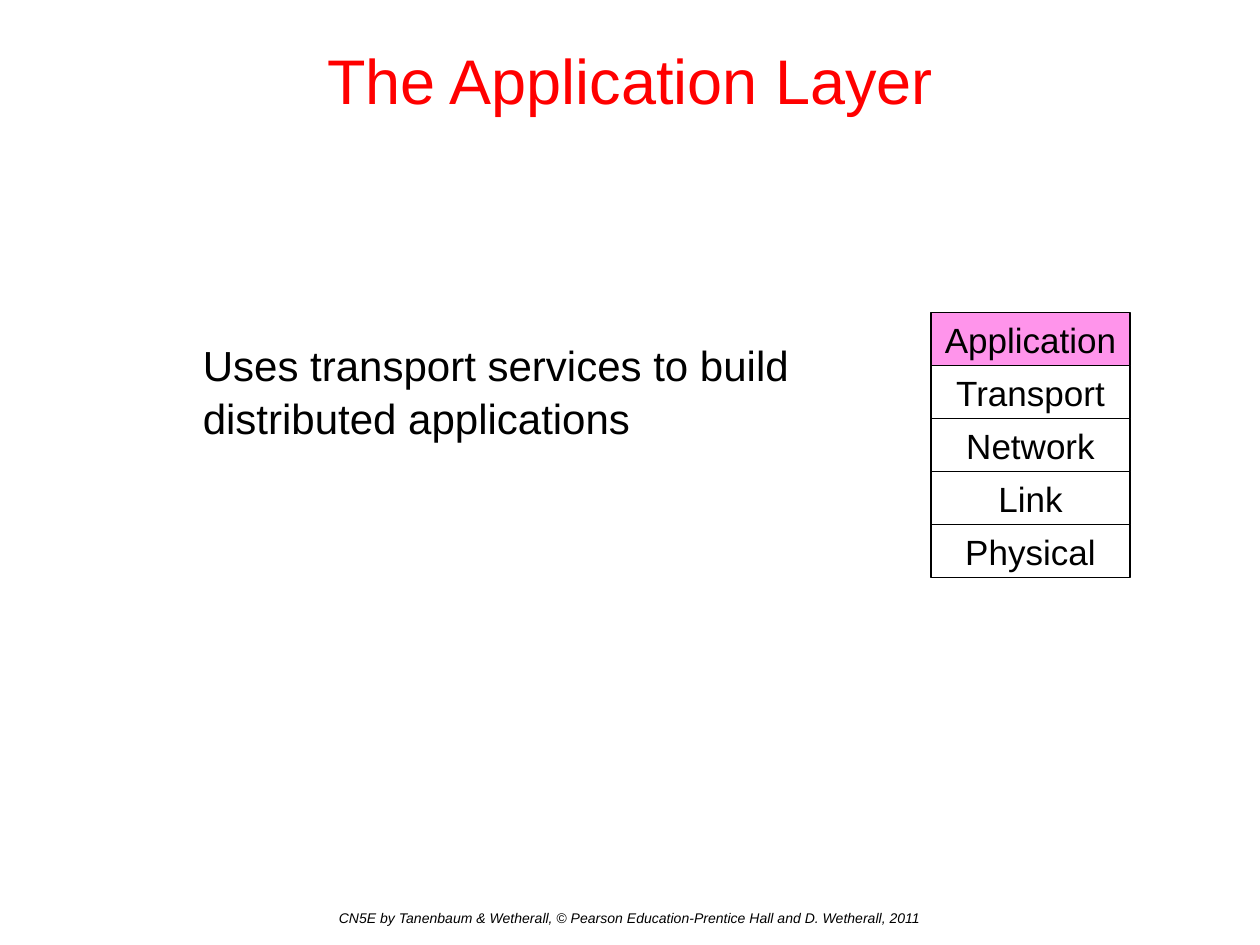
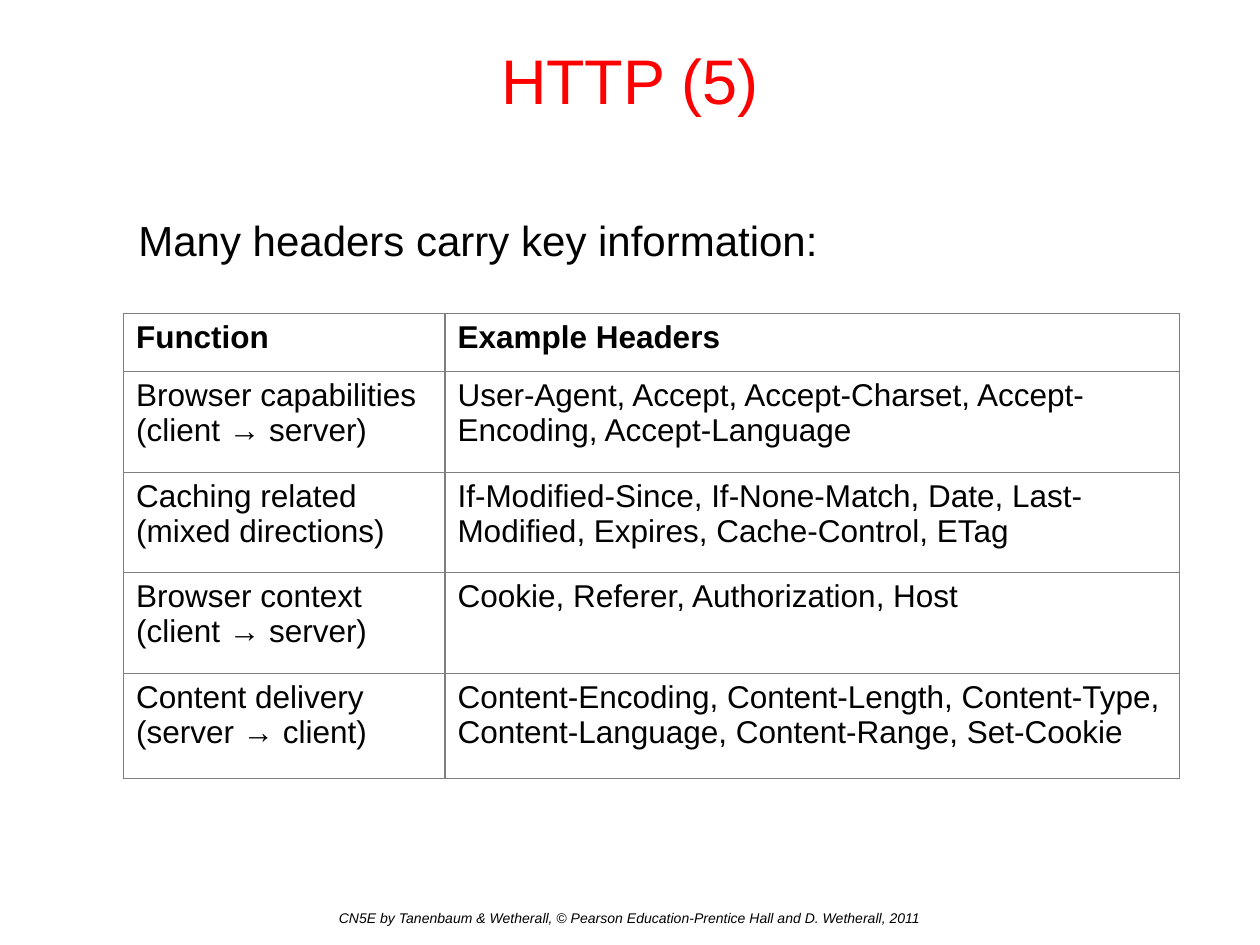
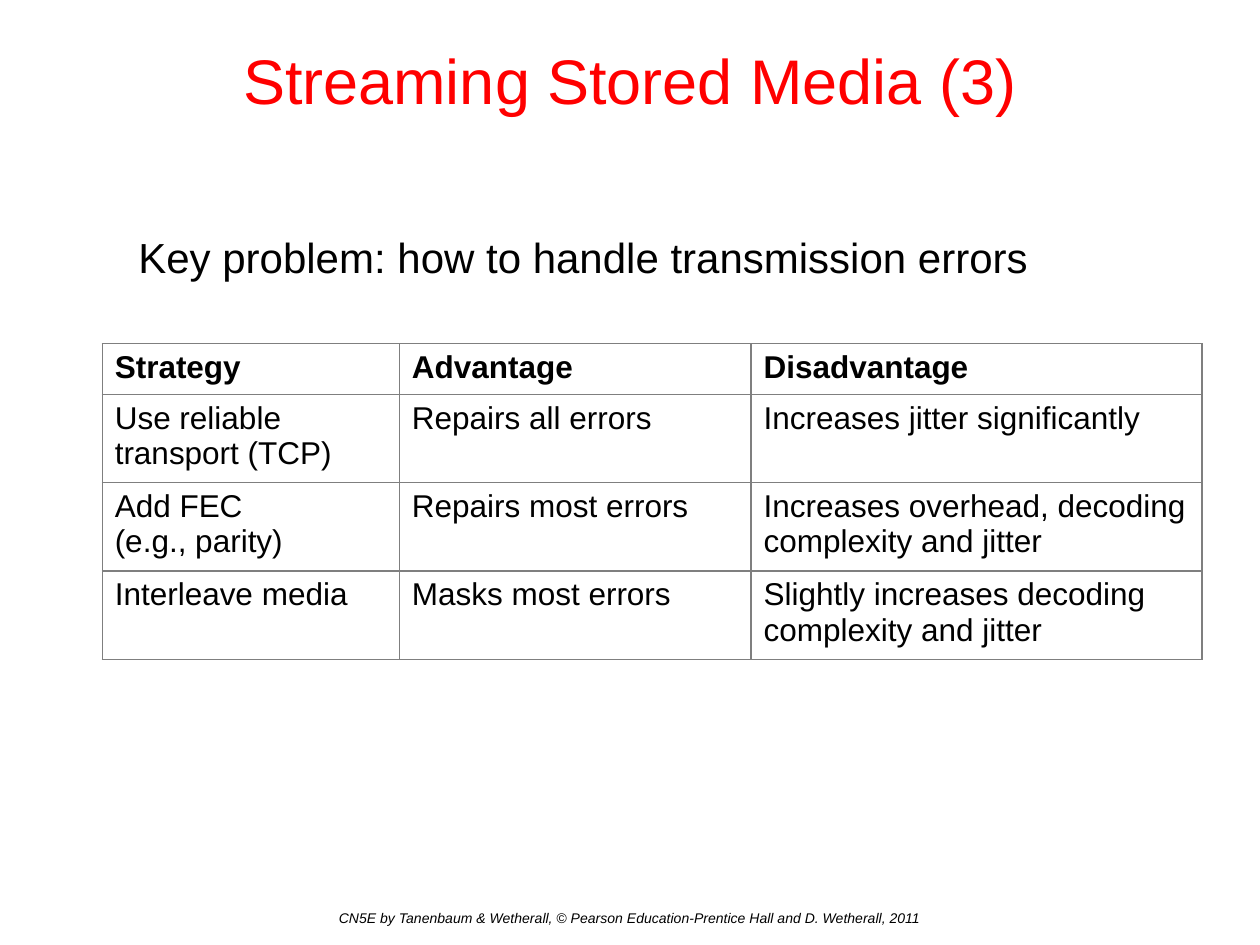
from lxml.etree import SubElement
from pptx import Presentation
from pptx.dml.color import RGBColor
from pptx.enum.shapes import MSO_SHAPE
from pptx.enum.text import MSO_ANCHOR, PP_ALIGN
from pptx.oxml.ns import qn
from pptx.util import Cm, Pt

FONT = "Arial"
BLACK, WHITE, RED, PINK, GREY = "000000", "FFFFFF", "FF0000", "FF2BD8", "7F7F7F"
FOOTER = ("CN5E by Tanenbaum & Wetherall, © Pearson Education-Prentice Hall "
          "and D. Wetherall, 2011")
WIDTH, HEIGHT = 25.4, 19.05


def rgb(code):
    return RGBColor.from_string(code)


def write(frame, text, size=18, color=BLACK, bold=False, italic=False,
          align=PP_ALIGN.LEFT, anchor=MSO_ANCHOR.TOP, wrap=True, space=None):
    """Fill a text frame; a line feed starts a paragraph, \\v breaks a line."""
    frame.text = text
    frame.word_wrap = wrap
    frame.vertical_anchor = anchor
    for para in frame.paragraphs:
        para.alignment = align
        para.line_spacing = space
        for run in para.runs:
            font = run.font
            font.name, font.size = FONT, Pt(size)
            font.bold, font.italic = bold, italic
            font.color.rgb = rgb(color)


def border(cell):
    props = cell._tc.get_or_add_tcPr()
    for side in ("lnL", "lnR", "lnT", "lnB"):
        line = SubElement(props, qn(f"a:{side}"), w=str(Pt(0.75)))
        fill = SubElement(line, qn("a:solidFill"))
        SubElement(fill, qn("a:srgbClr"), val=GREY)


class Deck:
    def __init__(self):
        self.prs = Presentation()
        self.prs.slide_width, self.prs.slide_height = Cm(WIDTH), Cm(HEIGHT)
        self.slide = None

    def start(self, title):
        """Add a slide with its title and footer."""
        self.slide = self.prs.slides.add_slide(self.prs.slide_layouts[5])
        head = self.slide.shapes.title
        head.left, head.top = Cm(0), Cm(0)
        head.width, head.height = Cm(WIDTH), Cm(3.18)
        write(head.text_frame, title, size=36, color=RED,
              align=PP_ALIGN.CENTER, anchor=MSO_ANCHOR.MIDDLE)
        self.text(FOOTER, 0, 18.21, WIDTH, 0.84, size=8, italic=True,
                  align=PP_ALIGN.CENTER)

    def text(self, text, left, top, width, height, **style):
        box = self.slide.shapes.add_textbox(
            Cm(left), Cm(top), Cm(width), Cm(height))
        write(box.text_frame, text, **style)

    def body(self, text, left, top, width, height):
        self.text(text, left, top, width, height, size=24, space=1.06)

    def layer(self, name, left, top, width, height, active):
        box = self.slide.shapes.add_shape(
            MSO_SHAPE.RECTANGLE, Cm(left), Cm(top), Cm(width), Cm(height))
        box.shadow.inherit = False
        box.line.color.rgb = rgb(BLACK)
        box.line.width = Pt(0.75)
        if active:
            box.fill.solid()
            box.fill.fore_color.rgb = rgb(PINK)
            tint = box._element.spPr.find(qn("a:solidFill"))[0]
            SubElement(tint, qn("a:alpha"), val="50000")
        else:
            box.fill.background()
        write(box.text_frame, name, size=20, align=PP_ALIGN.CENTER,
              anchor=MSO_ANCHOR.MIDDLE, wrap=False)

    def stack(self, names, left, top, width, height):
        """Pile up the layers, the first one highlighted."""
        for row, name in enumerate(names):
            self.layer(name, left, top + row * height, width, height, row == 0)

    def table(self, data, left, top, widths, heights):
        table = self.slide.shapes.add_table(
            len(heights), len(widths), Cm(left), Cm(top),
            Cm(sum(widths)), Cm(sum(heights))).table
        table.horz_banding = False
        for col, width in zip(table.columns, widths):
            col.width = Cm(width)
        for row, height in zip(table.rows, heights):
            row.height = Cm(height)
        for r, texts in enumerate(data):
            for c, text in enumerate(texts):
                cell = table.cell(r, c)
                border(cell)
                cell.fill.solid()
                cell.fill.fore_color.rgb = rgb(WHITE)
                write(cell.text_frame, text, bold=r == 0)


def main():
    deck = Deck()

    deck.start("The Application Layer")
    deck.body("Uses transport services to build distributed applications",
              3.84, 6.65, 14.1, 11.18)
    deck.stack(["Application", "Transport", "Network", "Link", "Physical"],
               18.77, 6.3, 4.01, 1.07)

    deck.start("HTTP (5)")
    deck.body("Many headers carry key information:", 2.54, 4.13, 21.64, 12.78)
    deck.table([
        ("Function", "Example Headers"),
        ("Browser capabilities\n(client → server)",
         "User-Agent, Accept, Accept-Charset, Accept-Encoding, "
         "Accept-Language"),
        ("Caching related\n(mixed directions)",
         "If-Modified-Since, If-None-Match, Date, Last-Modified, Expires, "
         "Cache-Control, ETag"),
        ("Browser context\n(client → server)",
         "Cookie, Referer, Authorization, Host"),
        ("Content delivery\n(server → client)",
         "Content-Encoding, Content-Length, Content-Type, Content-Language, "
         "Content-Range, Set-Cookie"),
    ], 2.49, 6.32, [6.48, 14.81], [1.17, 2.03, 2.03, 2.03, 2.11])

    deck.start("Streaming Stored Media (3)")
    deck.body("Key problem: how to handle transmission errors",
              2.54, 4.49, 21.64, 12.78)
    deck.table([
        ("Strategy", "Advantage", "Disadvantage"),
        ("Use reliable transport (TCP)", "Repairs all errors",
         "Increases jitter significantly"),
        ("Add FEC\v(e.g., parity)", "Repairs most errors",
         "Increases overhead, decoding complexity and jitter"),
        ("Interleave media", "Masks most errors",
         "Slightly increases decoding complexity and jitter"),
    ], 2.06, 6.93, [5.99, 7.09, 9.09], [1.02, 1.78, 1.78, 1.78])

    deck.prs.save("out.pptx")


if __name__ == "__main__":
    main()
